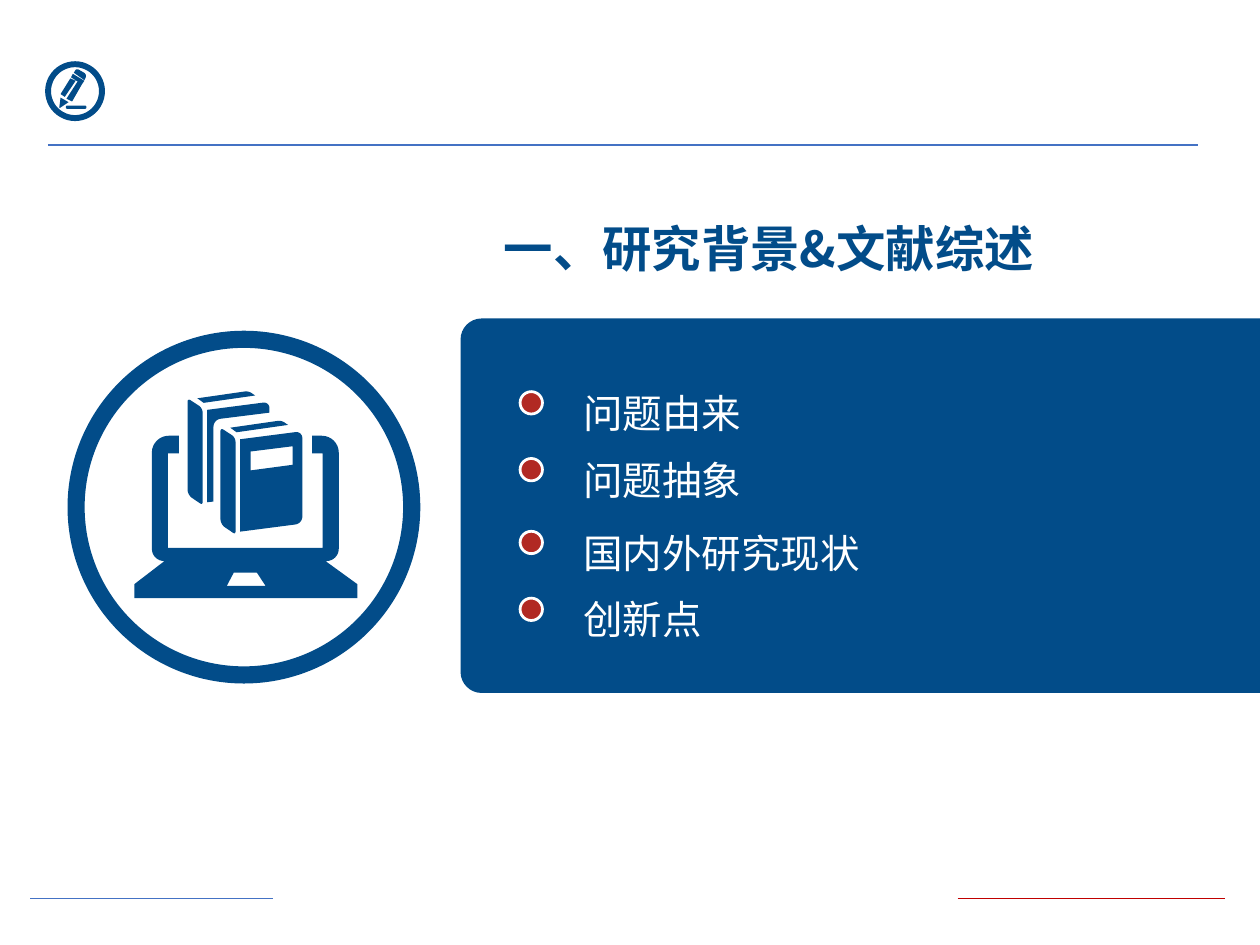
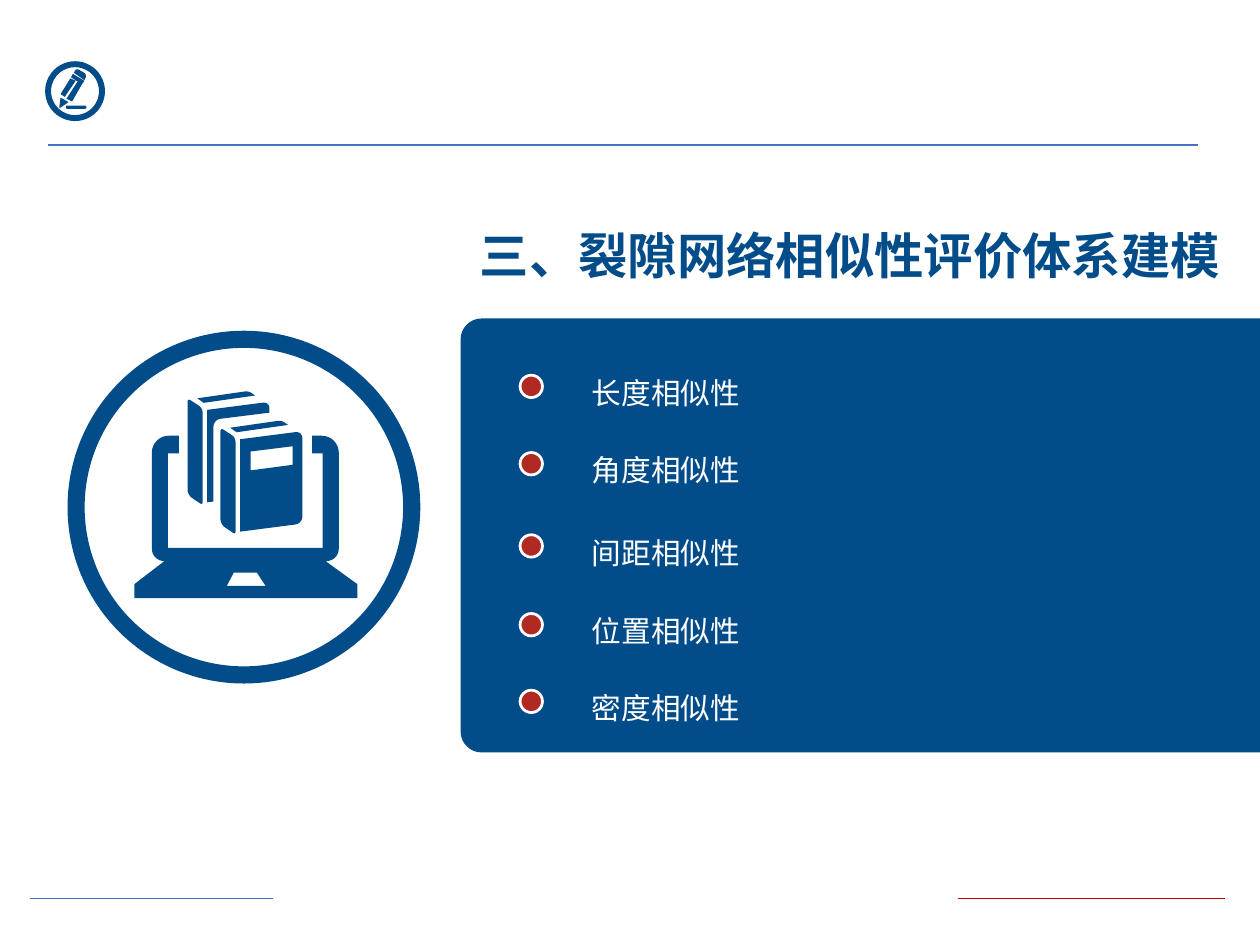
from dataclasses import dataclass

from lxml import etree
from pptx import Presentation
from pptx.dml.color import RGBColor
from pptx.enum import shapes, text
from pptx.oxml import ns
from pptx.util import Cm, Pt

FONT = "Noto Sans CJK SC"
NAVY = "024C89"
BLUE = "4472C4"
CRIMSON = "C00000"
RED = "B12923"
WHITE = "FFFFFF"
SLIDE_WIDTH, SLIDE_HEIGHT = 36, 27
PANEL_LEFT, PANEL_TOP, PANEL_RADIUS = 13.16, 9.1, 0.6
DOT_LEFT, DOT_SIZE = 14.86, 0.64
ITEM_WIDTH = 16.84
CURVE_STEPS = 8
CORNER_HANDLE = 0.55

Outline = list[tuple[float, ...]]


@dataclass(frozen=True)
class Rule:
    left: float
    right: float
    top: float
    color: str
    weight: float


@dataclass(frozen=True)
class Ring:
    left: float
    top: float
    size: float
    thickness: float


@dataclass(frozen=True)
class Item:
    label: str
    top: float


@dataclass(frozen=True)
class Section:
    title: str
    title_box: tuple[float, float, float, float]
    panel_height: float
    item_left: float
    item_height: float
    item_size: float
    dot_offset: float
    items: tuple[Item, ...]


RULES = (
    Rule(1.37, 34.24, 4.14, BLUE, 1.5),
    Rule(0.86, 7.8, 25.68, BLUE, 0.5),
    Rule(27.36, 35, 25.68, CRIMSON, 0.5),
)
PENCIL_RING = Ring(1.29, 1.75, 1.71, 0.17)
LAPTOP_RING = Ring(1.93, 9.45, 10.08, 0.49)

PENCIL: list[Outline] = [
    [(1.88, 3.02, 0.04), (2.47, 3.02, 0.04), (2.47, 3.11, 0.04), (1.88, 3.11, 0.04)],
    [(1.9, 2.82), (2.21, 2.34), (2.34, 2.41), (2.06, 2.9)],
    [(1.73, 2.69), (2.01, 2.24), (2.16, 2.31), (1.85, 2.77)],
    [(1.69, 3.1, 0.04), (1.73, 2.79), (1.96, 2.92)],
    [(2.08, 2.11), (2.41, 2.31), (2.34, 2.41), (2.03, 2.21)],
    [(2.11, 2.08), (2.18, 1.95, 0.08), (2.49, 2.13, 0.1), (2.41, 2.29)],
]
BOOK_EDGES: list[Outline] = [
    [(5.64, 11.38), (5.82, 11.51), (7.29, 11.3), (7.1, 11.17, 0.1)],
    [(5.36, 11.38, 0.1), (5.79, 11.66, 0.12), (5.79, 14.43, 0.08), (5.36, 14.14, 0.15)],
]
FRONT_BOOK_SHIFT = (0.94, 0.84)
BACK_COVER: Outline = [
    (5.92, 11.71), (7.7, 11.48, 0.18), (7.7, 11.79),
    (6.1, 11.99, 0.2), (6.1, 14.33), (5.92, 14.35),
]
FRONT_COVER: Outline = [
    (6.86, 12.55), (8.64, 12.32, 0.2), (8.64, 14.96, 0.2), (6.86, 15.19),
]
COVER_LABEL: Outline = [(7.16, 12.9), (8.36, 12.75), (8.36, 13.28), (7.16, 13.44)]
LAPTOP: Outline = [
    (4.8, 12.95), (5.11, 12.95), (5.11, 12.45), (4.34, 12.45, 0.48),
    (4.34, 16.03, 0.35), (4.7, 16.03), (3.84, 16.69), (3.84, 17.09),
    (10.21, 17.09), (10.21, 16.69), (9.3, 16.03), (9.68, 16.03, 0.35),
    (9.68, 12.45, 0.48), (8.92, 12.45), (8.92, 12.95), (9.22, 12.95),
    (9.22, 15.65), (4.8, 15.65),
]
TOUCHPAD: Outline = [(6.68, 16.36), (7.34, 16.36), (7.59, 16.74), (6.48, 16.74)]

SECTIONS = (
    Section(
        "一、研究背景&文献综述", (14.15, 6.12, 22.83, 1.96), 10.7, 16.41, 2.06, 32, 0.88,
        (
            Item("问题由来", 10.31),
            Item("问题抽象", 12.22),
            Item("国内外研究现状", 14.3),
            Item("创新点", 16.21),
        ),
    ),
    Section(
        "三、裂隙网络相似性评价体系建模", (13.46, 6.32, 21.84, 3.68), 12.4, 16.66, 1.63, 24, 0.64,
        (
            Item("长度相似性", 10.08),
            Item("角度相似性", 12.29),
            Item("间距相似性", 14.64),
            Item("位置相似性", 16.89),
            Item("密度相似性", 19.08),
        ),
    ),
)


def rgb(color: str) -> RGBColor:
    return RGBColor.from_string(color)


def paint(shape, fill: str, line: str | None = None, weight: float = 0) -> None:
    shape.shadow.inherit = False
    shape.fill.solid()
    shape.fill.fore_color.rgb = rgb(fill)
    if line:
        shape.line.color.rgb = rgb(line)
        shape.line.width = Pt(weight)
    else:
        shape.line.fill.background()


def add_text(slide, content: str, box: tuple[float, float, float, float], *,
             size: float, color: str, bold: bool = False, spacing: float = 1) -> None:
    frame = slide.shapes.add_textbox(*map(Cm, box)).text_frame
    frame.word_wrap = True
    frame.auto_size = text.MSO_AUTO_SIZE.SHAPE_TO_FIT_TEXT
    paragraph = frame.paragraphs[0]
    paragraph.line_spacing = spacing
    run = paragraph.add_run()
    run.text = content
    run.font.size = Pt(size)
    run.font.bold = bold
    run.font.color.rgb = rgb(color)
    run.font.name = FONT
    properties = run._r.get_or_add_rPr()
    etree.SubElement(properties, ns.qn("a:ea")).set("typeface", FONT)


def add_rule(slide, rule: Rule) -> None:
    connector = slide.shapes.add_connector(
        shapes.MSO_CONNECTOR.STRAIGHT,
        Cm(rule.left), Cm(rule.top), Cm(rule.right), Cm(rule.top),
    )
    connector.line.color.rgb = rgb(rule.color)
    connector.line.width = Pt(rule.weight)
    etree.SubElement(connector._element.spPr, ns.qn("a:effectLst"))


def add_ring(slide, ring: Ring) -> None:
    shape = slide.shapes.add_shape(
        shapes.MSO_SHAPE.DONUT, Cm(ring.left), Cm(ring.top), Cm(ring.size), Cm(ring.size)
    )
    shape.adjustments[0] = ring.thickness / ring.size
    paint(shape, NAVY)


def toward(start: complex, end: complex, distance: float) -> complex:
    return start + (end - start) / abs(end - start) * distance


def smooth_corners(outline: Outline) -> list[tuple[int, int]]:
    corners = [complex(*point[:2]) for point in outline]
    vertices = []
    for index, (point, corner) in enumerate(zip(outline, corners)):
        if len(point) == 2:
            vertices.append(corner)
            continue
        start = toward(corner, corners[index - 1], point[2])
        end = toward(corner, corners[(index + 1) % len(corners)], point[2])
        first = start + (corner - start) * CORNER_HANDLE
        second = end + (corner - end) * CORNER_HANDLE
        for step in range(CURVE_STEPS + 1):
            t = step / CURVE_STEPS
            s = 1 - t
            vertices.append(s**3 * start + 3 * s * s * t * first + 3 * s * t * t * second + t**3 * end)
    return [(Cm(vertex.real), Cm(vertex.imag)) for vertex in vertices]


def add_outlines(slide, outlines: list[Outline]) -> None:
    contours = [smooth_corners(outline) for outline in outlines]
    builder = slide.shapes.build_freeform(*contours[0][0])
    for index, contour in enumerate(contours):
        if index:
            builder.move_to(*contour[0])
        builder.add_line_segments(contour[1:], close=True)
    paint(builder.convert_to_shape(), NAVY)


def shifted(outline: Outline, shift: tuple[float, float]) -> Outline:
    return [(x + shift[0], y + shift[1], *radius) for x, y, *radius in outline]


def add_frame(slide) -> None:
    add_ring(slide, PENCIL_RING)
    add_outlines(slide, PENCIL)
    for rule in RULES:
        add_rule(slide, rule)


def add_laptop(slide) -> None:
    add_ring(slide, LAPTOP_RING)
    front_edges = [shifted(edge, FRONT_BOOK_SHIFT) for edge in BOOK_EDGES]
    covers = [BACK_COVER, FRONT_COVER, COVER_LABEL]
    add_outlines(slide, [LAPTOP, TOUCHPAD, *BOOK_EDGES, *front_edges, *covers])


def add_panel(slide, height: float) -> None:
    bottom = PANEL_TOP + height
    add_outlines(slide, [[
        (PANEL_LEFT, PANEL_TOP, PANEL_RADIUS), (SLIDE_WIDTH, PANEL_TOP),
        (SLIDE_WIDTH, bottom), (PANEL_LEFT, bottom, PANEL_RADIUS),
    ]])


def add_item(slide, section: Section, item: Item) -> None:
    dot = slide.shapes.add_shape(
        shapes.MSO_SHAPE.OVAL, Cm(DOT_LEFT), Cm(item.top + section.dot_offset),
        Cm(DOT_SIZE), Cm(DOT_SIZE),
    )
    paint(dot, RED, WHITE, 2.25)
    box = (section.item_left, item.top, ITEM_WIDTH, section.item_height)
    add_text(slide, item.label, box, size=section.item_size, color=WHITE, spacing=1.5)


def add_section(presentation, section: Section) -> None:
    slide = presentation.slides.add_slide(presentation.slide_layouts[6])
    add_frame(slide)
    add_panel(slide, section.panel_height)
    add_text(slide, section.title, section.title_box, size=40, color=NAVY, bold=True)
    add_laptop(slide)
    for item in section.items:
        add_item(slide, section, item)


def main() -> None:
    presentation = Presentation()
    presentation.slide_width = Cm(SLIDE_WIDTH)
    presentation.slide_height = Cm(SLIDE_HEIGHT)
    for section in SECTIONS:
        add_section(presentation, section)
    presentation.save("out.pptx")


if __name__ == "__main__":
    main()
